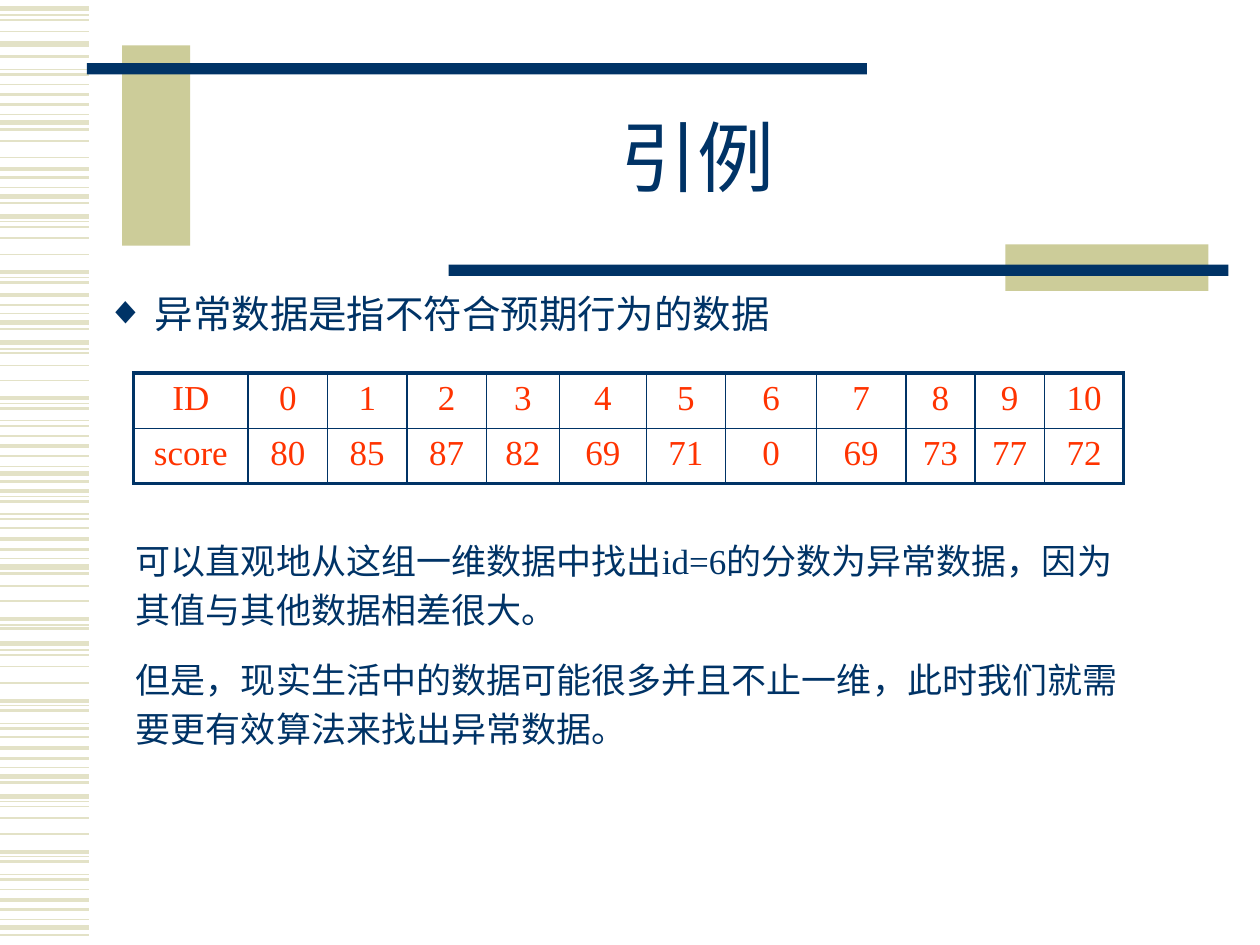
from dataclasses import dataclass
from typing import Optional

import pptx
import pptx.dml.color
import pptx.enum.shapes
import pptx.enum.text
import pptx.oxml.ns
import pptx.util
from lxml import etree
from pptx.util import Inches

NAVY, KHAKI, PALE, RED = "003366", "CCCC99", "E3E2C7", "FF3300"
FONT = "Times New Roman"
CENTER = pptx.enum.text.PP_ALIGN.CENTER
MIDDLE = pptx.enum.text.MSO_ANCHOR.MIDDLE
TOP = pptx.enum.text.MSO_ANCHOR.TOP


@dataclass
class Bar:
    left: float
    top: float
    width: float
    height: float
    color: str


@dataclass
class TextStyle:
    size: float
    color: str = NAVY
    align: Optional[int] = None
    line_spacing: Optional[float] = None
    gap: float = 0


# Heights of the margin stripes, by line weight in points
STRIPES = {
    0.75: [0.12, 0.55, 0.91, 1.49, 1.76, 2.2, 2.49, 2.77, 3.2, 3.34, 3.7, 3.94,
           4.08, 4.43, 4.96, 5.16, 5.6, 5.74, 6.09, 6.36, 6.8, 6.94, 7.3],
    1: [0.16, 0.25, 0.67, 1.12, 1.25, 1.8, 1.89, 2.02, 2.8, 2.9, 3.02, 3.46,
        4.19, 4.65, 4.77, 5.2, 5.29, 5.42, 5.85, 6.4, 6.49, 6.62, 7.06],
    1.5: [0.45, 0.59, 0.83, 1.03, 1.41, 1.61, 2.24, 2.42, 2.61, 3.24, 3.38,
          3.62, 3.82, 3.98, 4.12, 4.36, 4.55, 4.99, 5.64, 5.78, 6.02, 6.21,
          6.84, 6.98, 7.22, 7.42],
    2.25: [0.75, 1.34, 2.16, 2.34, 3.16, 3.54, 3.9, 4.28, 4.91, 5.56, 5.94,
           6.76, 7.14],
    3: [0.07, 0.35, 0.97, 1.56, 1.72, 2.56, 2.72, 3.76, 4.5, 5.11, 6.16, 6.32,
        7.36],
}
BARS = [
    Bar(0.97, 0.36, 0.54, 1.59, KHAKI),
    Bar(0.69, 0.5, 6.19, 0.09, NAVY),
    Bar(7.98, 1.94, 1.61, 0.37, KHAKI),
    Bar(3.56, 2.1, 6.19, 0.09, NAVY),
]
COLUMN_WIDTHS = [0.91, 0.63, 0.63, 0.63, 0.58, 0.69, 0.63, 0.72, 0.71, 0.55, 0.55, 0.63]
ROW_HEIGHT = 0.44
SCORES = [80, 85, 87, 82, 69, 71, 0, 69, 73, 77, 72]
EXPLANATION = [
    "可以直观地从这组一维数据中找出id=6的分数为异常数据，因为其值与其他数据相差很大。",
    "但是，现实生活中的数据可能很多并且不止一维，此时我们就需要更有效算法来找出异常数据。",
]


def rgb(color: str) -> pptx.dml.color.RGBColor:
    return pptx.dml.color.RGBColor.from_string(color)


def child(parent, tag: str, **attributes: str):
    return etree.SubElement(parent, pptx.oxml.ns.qn(tag), attributes)


def draw_stripe(page, height: float, weight: float) -> None:
    stripe = page.shapes.add_connector(
        pptx.enum.shapes.MSO_CONNECTOR.STRAIGHT,
        Inches(0), Inches(height), Inches(0.71), Inches(height))
    stripe.line.color.rgb = rgb(PALE)
    stripe.line.width = pptx.util.Pt(weight)
    child(stripe._element.spPr, "a:effectLst")


def draw_bar(page, bar: Bar) -> None:
    shape = page.shapes.add_shape(
        pptx.enum.shapes.MSO_SHAPE.RECTANGLE,
        Inches(bar.left), Inches(bar.top), Inches(bar.width), Inches(bar.height))
    shape.shadow.inherit = False
    shape.fill.solid()
    shape.fill.fore_color.rgb = rgb(bar.color)
    shape.line.fill.background()


def write(frame, texts: list[str], style: TextStyle) -> None:
    for index, text in enumerate(texts):
        para = frame.add_paragraph() if index else frame.paragraphs[0]
        para.alignment = style.align
        para.line_spacing = style.line_spacing
        para.space_before = para.space_after = pptx.util.Pt(style.gap)
        span = para.add_run()
        span.text = text
        span.font.name = FONT
        span.font.size = pptx.util.Pt(style.size)
        span.font.color.rgb = rgb(style.color)


def draw_text(page, left: float, top: float, width: float, height: float,
              texts: list[str], style: TextStyle, anchor=TOP):
    box = page.shapes.add_textbox(
        Inches(left), Inches(top), Inches(width), Inches(height))
    box.text_frame.word_wrap = True
    box.text_frame.vertical_anchor = anchor
    write(box.text_frame, texts, style)
    return box


def add_bullet(para, symbol: str, indent: float) -> None:
    properties = para._p.get_or_add_pPr()
    properties.set("marL", str(Inches(indent)))
    properties.set("indent", str(-Inches(indent)))
    child(child(properties, "a:buClr"), "a:srgbClr", val=NAVY)
    child(properties, "a:buFont", typeface=FONT)
    child(properties, "a:buChar", char=symbol)


def add_borders(cell, outer_sides: dict[str, bool]) -> None:
    properties = cell._tc.get_or_add_tcPr()
    for side, outer in outer_sides.items():
        width = pptx.util.Pt(2.25 if outer else 1)
        line = child(properties, f"a:ln{side}", w=str(width))
        child(child(line, "a:solidFill"), "a:srgbClr", val=NAVY)


def draw_scores(page) -> None:
    rows = [["ID", *range(len(SCORES))], ["score", *SCORES]]
    table = page.shapes.add_table(
        len(rows), len(COLUMN_WIDTHS), Inches(1.06), Inches(2.96),
        Inches(sum(COLUMN_WIDTHS)), Inches(ROW_HEIGHT * len(rows))).table
    table.first_row = table.horz_banding = False
    for column, width in zip(table.columns, COLUMN_WIDTHS):
        column.width = Inches(width)
    style = TextStyle(20, RED, CENTER)
    for r, values in enumerate(rows):
        table.rows[r].height = Inches(ROW_HEIGHT)
        for c, value in enumerate(values):
            cell = table.cell(r, c)
            write(cell.text_frame, [str(value)], style)
            add_borders(cell, {"L": c == 0, "R": c == len(values) - 1,
                               "T": r == 0, "B": r == len(rows) - 1})
            cell.fill.background()


def main() -> None:
    deck = pptx.Presentation()
    deck.slide_width, deck.slide_height = Inches(10), Inches(7.5)
    page = deck.slides.add_slide(deck.slide_layouts[6])

    # Striped margin and title bars
    for weight, heights in STRIPES.items():
        for height in heights:
            draw_stripe(page, height, weight)
    for bar in BARS:
        draw_bar(page, bar)

    # Title and definition
    draw_text(page, 1.5, 0.67, 8.07, 1.25, ["引例"],
              TextStyle(44, align=CENTER, line_spacing=0.85), MIDDLE)
    definition = draw_text(page, 0.75, 2.25, 8.7, 4.42,
                           ["异常数据是指不符合预期行为的数据"], TextStyle(22))
    add_bullet(definition.text_frame.paragraphs[0], "◆", 0.38)

    # Score table and explanation
    draw_scores(page)
    draw_text(page, 0.98, 4.18, 8.03, 1.8, EXPLANATION,
              TextStyle(20, line_spacing=pptx.util.Pt(28), gap=6))

    deck.save("out.pptx")


if __name__ == "__main__":
    main()
